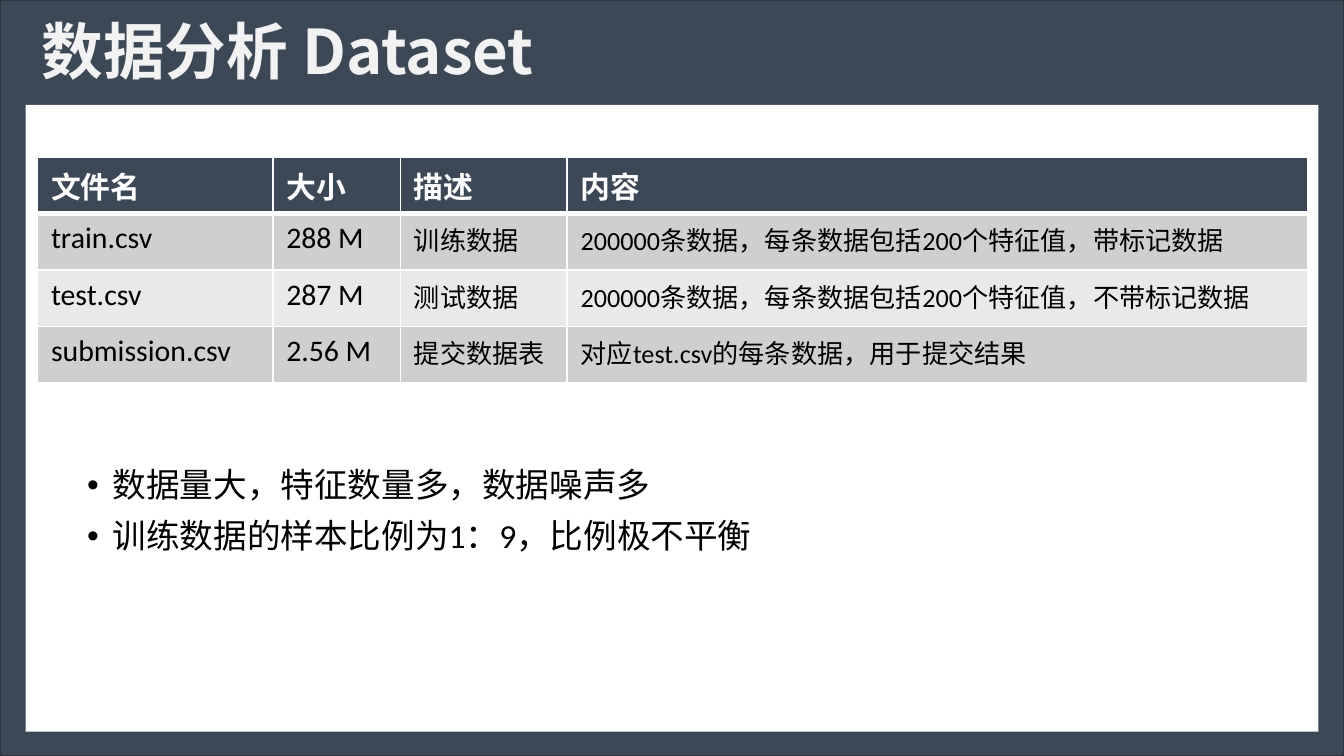
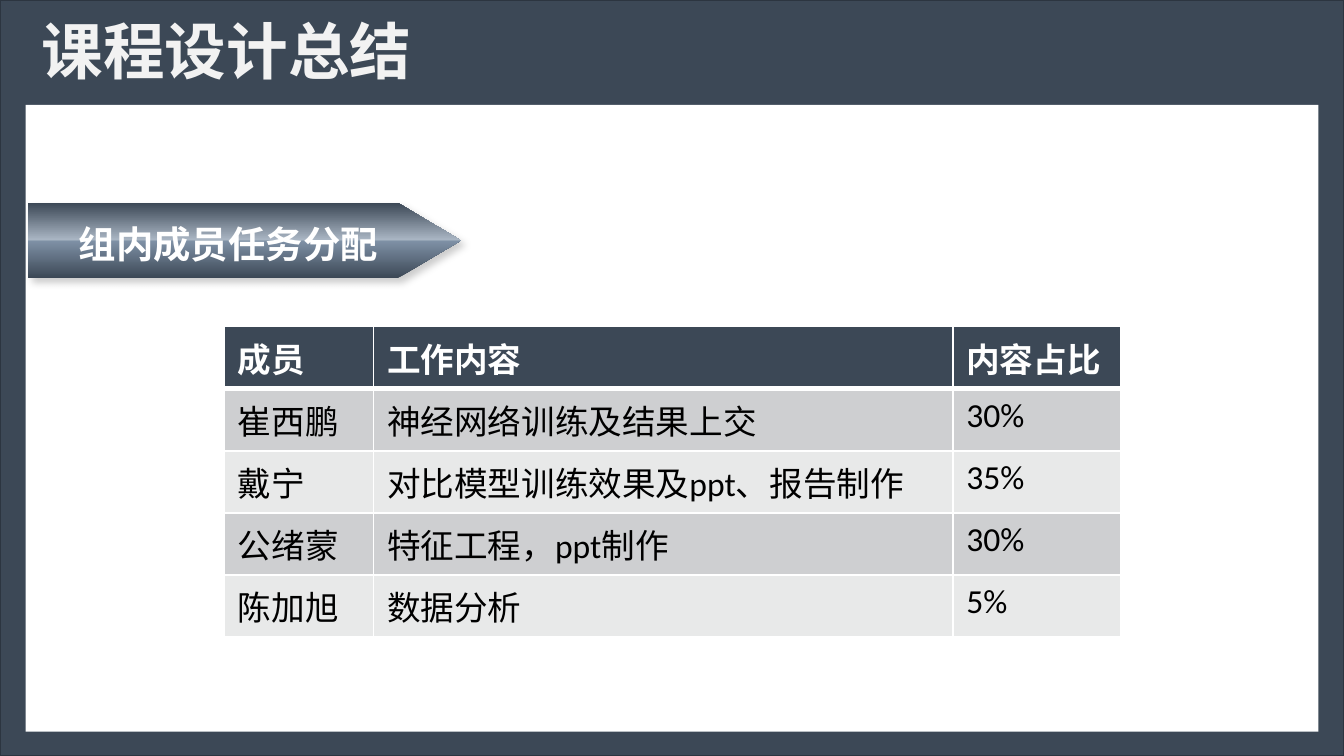
from dataclasses import dataclass

from lxml import etree
from pptx import Presentation
from pptx import util as u
from pptx.dml.color import RGBColor
from pptx.enum import shapes, text
from pptx.oxml import ns

# Shared look
NAVY = RGBColor(0x3C, 0x48, 0x56)
NAVY_EDGE = RGBColor(0x2C, 0x35, 0x40)
STEEL = RGBColor(0x7E, 0x90, 0xA5)
MIST = RGBColor(0xA9, 0xB5, 0xC3)
WHITE = RGBColor(0xFF, 0xFF, 0xFF)
TITLE_WHITE = RGBColor(0xF2, 0xF2, 0xF2)
BLACK = RGBColor(0, 0, 0)
BANDS = (RGBColor(0xCE, 0xCF, 0xD1), RGBColor(0xE8, 0xE9, 0xE9))
LATIN, CJK = "Calibri", "Noto Sans CJK SC"
SLIDE_WIDTH, SLIDE_HEIGHT = 2000, 1125


def px(length: int) -> u.Emu:
    """200 px to the inch."""
    return u.Emu(length * 4572)


@dataclass(frozen=True)
class Box:
    left: int
    top: int
    width: int
    height: int

    def emu(self) -> tuple:
        return px(self.left), px(self.top), px(self.width), px(self.height)


@dataclass(frozen=True)
class TextStyle:
    size: float
    color: RGBColor = BLACK
    name: str = LATIN
    bold: bool = False


@dataclass(frozen=True)
class TableSpec:
    left: int
    top: int
    columns: tuple
    header_height: int
    row_height: int
    header_size: int
    column_sizes: tuple
    rows: tuple


FRAME = Box(0, 0, SLIDE_WIDTH, SLIDE_HEIGHT)
PANEL = Box(38, 156, 1924, 933)
TITLE_BOX = Box(42, 6, 1724, 150)
TITLE_STYLE = TextStyle(33, TITLE_WHITE, CJK, True)

FILES = TableSpec(
    56, 234, (350, 190, 248, 1102), 78, 84, 16, (16, 16, 14, 14),
    (
        ("文件名", "大小", "描述", "内容"),
        ("train.csv", "288 M", "训练数据", "200000条数据，每条数据包括200个特征值，带标记数据"),
        ("test.csv", "287 M", "测试数据", "200000条数据，每条数据包括200个特征值，不带标记数据"),
        ("submission.csv", "2.56 M", "提交数据表", "对应test.csv的每条数据，用于提交结果"),
    ),
)
MEMBERS = TableSpec(
    334, 486, (222, 862, 250), 92, 82, 18, (18, 18, 18),
    (
        ("成员", "工作内容", "内容占比"),
        ("崔西鹏", "神经网络训练及结果上交", "30%"),
        ("戴宁", "对比模型训练效果及ppt、报告制作", "35%"),
        ("公绪蒙", "特征工程，ppt制作", "30%"),
        ("陈加旭", "数据分析", "5%"),
    ),
)
FINDINGS = ("数据量大，特征数量多，数据噪声多", "训练数据的样本比例为1：9，比例极不平衡")


def add_xml(parent, tag: str, **attributes):
    return etree.SubElement(parent, ns.qn(tag), attributes)


def write(para, words: str, style: TextStyle) -> None:
    para.text = words
    font = para.font
    font.name, font.size, font.bold = style.name, u.Pt(style.size), style.bold
    add_xml(font._element, "a:ea", typeface=CJK)
    font.color.rgb = style.color


def add_page(deck, heading: str):
    page = deck.slides.add_slide(deck.slide_layouts[5])
    title = page.shapes.title
    # Navy frame and white panel
    for box, color in ((FRAME, NAVY), (PANEL, WHITE)):
        plate = page.shapes.add_shape(shapes.MSO_SHAPE.RECTANGLE, *box.emu())
        plate.shadow.inherit = False
        plate.fill.solid()
        plate.fill.fore_color.rgb = color
        if box is FRAME:
            plate.line.color.rgb = NAVY_EDGE
            plate.line.width = u.Pt(1)
        else:
            plate.line.fill.background()
        title._element.addprevious(plate._element)
    # Title
    title.left, title.top, title.width, title.height = TITLE_BOX.emu()
    frame = title.text_frame
    frame.auto_size = text.MSO_AUTO_SIZE.NONE
    frame.vertical_anchor = text.MSO_ANCHOR.MIDDLE
    para = frame.paragraphs[0]
    para.alignment = text.PP_ALIGN.LEFT
    para.line_spacing = 0.9
    write(para, heading, TITLE_STYLE)
    return page


def add_borders(cell, row: int) -> None:
    properties = cell._tc.get_or_add_tcPr()
    widths = {"L": 1, "R": 1, "T": 3 if row == 1 else 1, "B": 3 if row == 0 else 1}
    for side, width in widths.items():
        line = add_xml(properties, f"a:ln{side}", w=str(u.Pt(width)))
        add_xml(add_xml(line, "a:solidFill"), "a:srgbClr", val=str(WHITE))


def add_table(page, spec: TableSpec) -> None:
    heights = [spec.header_height] + [spec.row_height] * (len(spec.rows) - 1)
    box = Box(spec.left, spec.top, sum(spec.columns), sum(heights))
    table = page.shapes.add_table(len(heights), len(spec.columns), *box.emu()).table
    for column, width in zip(table.columns, spec.columns):
        column.width = px(width)
    for row, (height, entries) in enumerate(zip(heights, spec.rows)):
        table.rows[row].height = px(height)
        for column, words in enumerate(entries):
            cell = table.cell(row, column)
            add_borders(cell, row)
            cell.fill.solid()
            if row == 0:
                cell.fill.fore_color.rgb = NAVY
                style = TextStyle(spec.header_size, WHITE, bold=True)
            else:
                cell.fill.fore_color.rgb = BANDS[(row - 1) % 2]
                style = TextStyle(spec.column_sizes[column])
            write(cell.text_frame.paragraphs[0], words, style)


def add_bullets(page, box: Box, lines: tuple) -> None:
    frame = page.shapes.add_textbox(*box.emu()).text_frame
    frame.word_wrap = True
    for index, words in enumerate(lines):
        para = frame.add_paragraph() if index else frame.paragraphs[0]
        properties = para._p.get_or_add_pPr()
        properties.set("marL", str(px(38)))
        properties.set("indent", str(px(-38)))
        add_xml(properties, "a:buFont", typeface="Arial")
        add_xml(properties, "a:buChar", char="•")
        para.line_spacing = 0.9
        para.space_before = u.Pt(7.5)
        write(para, words, TextStyle(18))


def add_arrow_label(page, box: Box, shoulder: int, words: str) -> None:
    right, bottom = box.left + box.width, box.top + box.height
    builder = page.shapes.build_freeform(box.left, box.top, scale=float(px(1)))
    builder.add_line_segments(
        [(shoulder, box.top), (right, box.top + box.height // 2),
         (shoulder, bottom), (box.left, bottom)])
    arrow = builder.convert_to_shape()
    arrow.line.fill.background()
    # Gradient running upwards
    arrow.fill.gradient()
    arrow.fill.gradient_angle = 90
    properties = arrow._element.spPr
    stops = properties.find(".//" + ns.qn("a:gsLst"))
    stops.clear()
    for percent, color in ((0, NAVY), (49, STEEL), (51, MIST), (100, NAVY)):
        stop = add_xml(stops, "a:gs", pos=str(percent * 1000))
        add_xml(stop, "a:srgbClr", val=str(color))
    # Soft shadow to the lower right
    arrow.shadow.inherit = False
    shadow = add_xml(properties.find(ns.qn("a:effectLst")), "a:outerShdw",
                     blurRad=str(u.Pt(4)), dist=str(u.Pt(3)), dir="2700000",
                     algn="tl", rotWithShape="0")
    add_xml(add_xml(shadow, "a:srgbClr", val=str(BLACK)), "a:alpha", val="20000")
    # Label
    frame = arrow.text_frame
    frame.word_wrap = True
    frame.vertical_anchor = text.MSO_ANCHOR.MIDDLE
    frame.margin_left = frame.margin_bottom = 0
    frame.margin_top, frame.margin_right = px(10), px(48)
    para = frame.paragraphs[0]
    para.alignment = text.PP_ALIGN.CENTER
    write(para, words, TextStyle(20, WHITE, CJK, True))


def main() -> None:
    deck = Presentation()
    deck.slide_width, deck.slide_height = px(SLIDE_WIDTH), px(SLIDE_HEIGHT)

    # Dataset
    page = add_page(deck, "数据分析 Dataset")
    add_table(page, FILES)
    add_bullets(page, Box(110, 688, 1780, 374), FINDINGS)

    # Course summary
    page = add_page(deck, "课程设计总结")
    add_table(page, MEMBERS)
    add_arrow_label(page, Box(42, 302, 644, 112), 592, "组内成员任务分配")

    deck.save("out.pptx")


if __name__ == "__main__":
    main()
